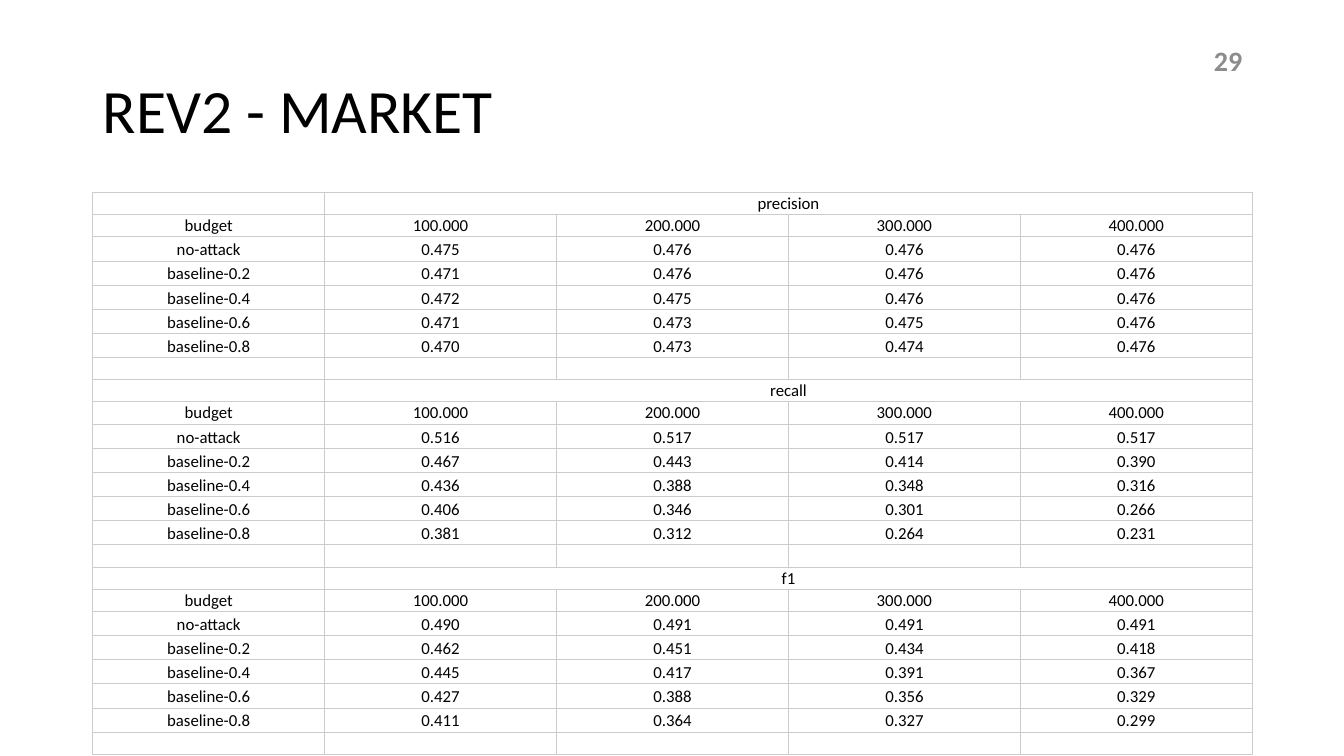
from lxml import etree
from pptx import Presentation, util as u
from pptx.dml.color import RGBColor
from pptx.enum import text as t
from pptx.oxml import ns

BLACK = RGBColor(0x00, 0x00, 0x00)
NUMBER_GREY = RGBColor(0x8C, 0x8C, 0x8C)
GRID_GREY = RGBColor(0xCC, 0xCC, 0xCC)
FONT = "Calibri"
CELL_SIZE = 12
CELL_INSET = u.Pt(0.5)
LABEL_ROW, VALUE_ROW = 0.22, 0.24

BUDGETS = ["100.000", "200.000", "300.000", "400.000"]
ATTACKS = ["no-attack"] + [f"baseline-0.{n}" for n in (2, 4, 6, 8)]
SCORES = {
    "precision": [
        [0.475, 0.476, 0.476, 0.476],
        [0.471, 0.476, 0.476, 0.476],
        [0.472, 0.475, 0.476, 0.476],
        [0.471, 0.473, 0.475, 0.476],
        [0.470, 0.473, 0.474, 0.476],
    ],
    "recall": [
        [0.516, 0.517, 0.517, 0.517],
        [0.467, 0.443, 0.414, 0.390],
        [0.436, 0.388, 0.348, 0.316],
        [0.406, 0.346, 0.301, 0.266],
        [0.381, 0.312, 0.264, 0.231],
    ],
    "f1": [
        [0.490, 0.491, 0.491, 0.491],
        [0.462, 0.451, 0.434, 0.418],
        [0.445, 0.417, 0.391, 0.367],
        [0.427, 0.388, 0.356, 0.329],
        [0.411, 0.364, 0.327, 0.299],
    ],
}


def add_run(paragraph, words, size, color, bold=False):
    run = paragraph.add_run()
    run.text = words
    run.font.name = FONT
    run.font.size = u.Pt(size)
    run.font.bold = bold
    run.font.color.rgb = color


def add_title(slide, left, top, width, height):
    title = slide.shapes.title
    title.left, title.top = u.Inches(left), u.Inches(top)
    title.width, title.height = u.Inches(width), u.Inches(height)
    frame = title.text_frame
    frame.auto_size = t.MSO_AUTO_SIZE.NONE
    frame.vertical_anchor = t.MSO_ANCHOR.MIDDLE
    heading = frame.paragraphs[0]
    heading.alignment = t.PP_ALIGN.LEFT
    heading.line_spacing = 0.9
    add_run(heading, "REV2 - MARKET", 44, BLACK)


def add_page_number(slide, left, top, width, height):
    number = slide.shapes.add_textbox(
        u.Inches(left), u.Inches(top), u.Inches(width), u.Inches(height))
    frame = number.text_frame
    frame.word_wrap = True
    frame.vertical_anchor = t.MSO_ANCHOR.MIDDLE
    frame.paragraphs[0].alignment = t.PP_ALIGN.RIGHT
    add_run(frame.paragraphs[0], "29", 20, NUMBER_GREY, bold=True)


def draw_borders(cell):
    properties = cell._tc.get_or_add_tcPr()
    for position, side in enumerate(("lnL", "lnR", "lnT", "lnB")):
        line = etree.Element(ns.qn(f"a:{side}"), w=str(u.Pt(0.75)))
        fill = etree.SubElement(line, ns.qn("a:solidFill"))
        etree.SubElement(fill, ns.qn("a:srgbClr"), val=str(GRID_GREY))
        properties.insert(position, line)


def fill_cell(cell, words):
    cell.margin_left = cell.margin_right = CELL_INSET
    cell.margin_top = cell.margin_bottom = CELL_INSET
    cell.vertical_anchor = t.MSO_ANCHOR.BOTTOM
    cell.fill.background()
    draw_borders(cell)
    paragraph = cell.text_frame.paragraphs[0]
    paragraph.alignment = t.PP_ALIGN.CENTER
    if words:
        add_run(paragraph, words, CELL_SIZE, BLACK)
    else:
        # An empty cell needs its text size for the row to stay low
        etree.SubElement(paragraph._p, ns.qn("a:endParaRPr"),
                         sz=str(CELL_SIZE * 100))


def score_rows():
    """Yield the height and the words of each row, metric by metric."""
    blank = [""] * len(BUDGETS)
    for metric, scores in SCORES.items():
        yield LABEL_ROW, ["", metric] + blank[1:]
        yield LABEL_ROW, ["budget"] + BUDGETS
        for attack, values in zip(ATTACKS, scores):
            yield VALUE_ROW, [attack] + [f"{value:.3f}" for value in values]
        yield LABEL_ROW, [""] + blank


def add_score_table(slide, left, top, width):
    rows = list(score_rows())
    columns = len(BUDGETS) + 1
    height = sum(row_height for row_height, _ in rows)
    table = slide.shapes.add_table(
        len(rows), columns, u.Inches(left), u.Inches(top),
        u.Inches(width), u.Inches(height)).table
    table.first_row = table.horz_banding = False
    for column in table.columns:
        column.width = u.Inches(width / columns)
    for index, (row_height, row_words) in enumerate(rows):
        table.rows[index].height = u.Inches(row_height)
        for column, words in enumerate(row_words):
            fill_cell(table.cell(index, column), words)
        # The metric name spans all budgets
        if row_words[1] in SCORES:
            table.cell(index, 1).merge(table.cell(index, columns - 1))


def main():
    deck = Presentation()
    deck.slide_width, deck.slide_height = u.Inches(13.33), u.Inches(7.5)
    slide = deck.slides.add_slide(deck.slide_layouts[5])
    add_title(slide, 0.92, 0.4, 11.5, 1.45)
    add_page_number(slide, 9.42, 0.4, 3, 0.4)
    add_score_table(slide, 0.92, 1.91, 11.5)
    deck.save("out.pptx")


if __name__ == "__main__":
    main()
